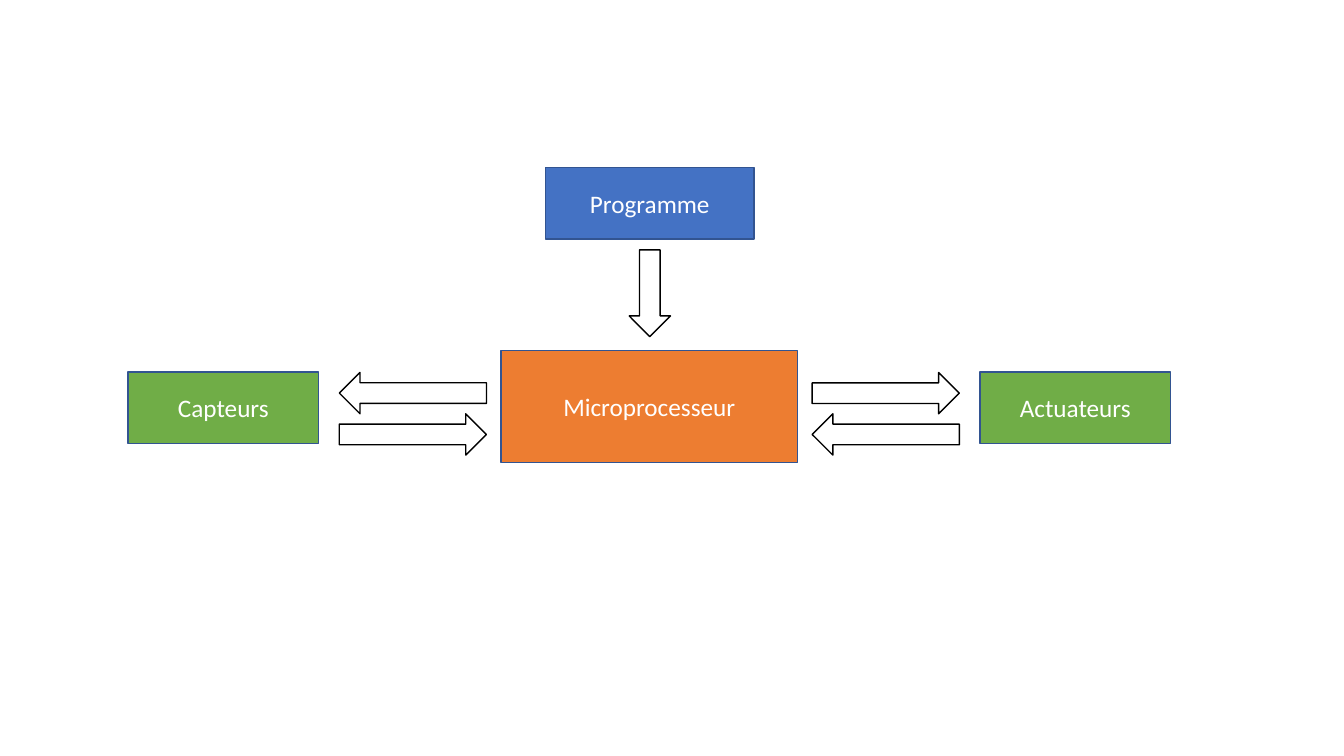
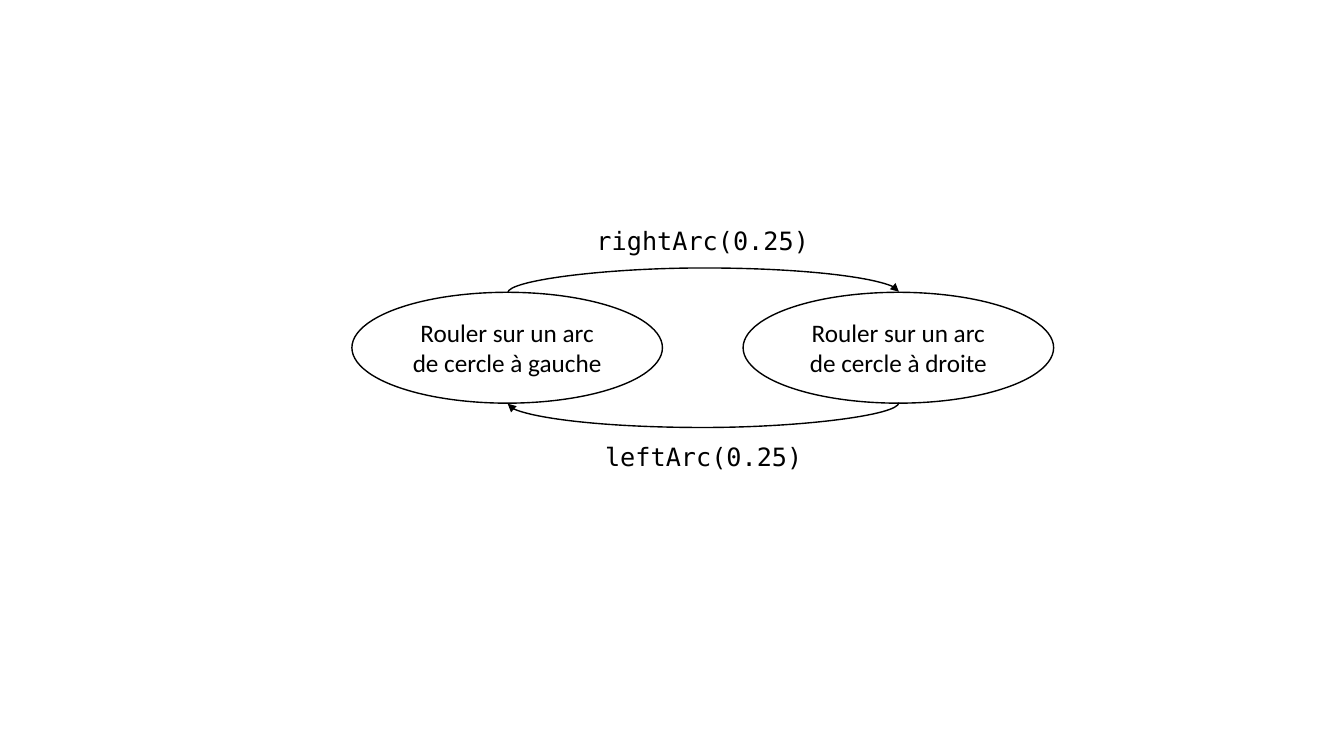
from lxml import etree
from pptx import Presentation
from pptx import util as u
from pptx.dml.color import RGBColor
from pptx.enum import shapes, text
from pptx.oxml import ns

Kind = shapes.MSO_SHAPE


def colour(code):
    return RGBColor.from_string(code)


def px(length):
    return u.Emu(length * 9144)


class Sketch:
    white, black, edge = "FFFFFF", "000000", "325491"
    blue, orange, green = "4472C4", "ED7D31", "70AD47"
    body, code = "Calibri", "DejaVu Sans Mono"
    size, weight = 18, 1

    def __init__(self):
        self.deck = Presentation()
        self.deck.slide_width, self.deck.slide_height = px(1333), px(750)
        self.page = None

    def new_page(self):
        self.page = self.deck.slides.add_slide(self.deck.slide_layouts[6])

    def add_wording(self, box, wording, font, ink):
        box.text_frame.word_wrap = True
        para = box.text_frame.paragraphs[0]
        para.alignment = text.PP_ALIGN.CENTER
        span = para.add_run()
        span.text = wording
        span.font.name = font
        span.font.size = u.Pt(self.size)
        span.font.color.rgb = colour(ink)

    def stroke(self, item, ink):
        item.line.color.rgb = colour(ink)
        item.line.width = u.Pt(self.weight)

    def shape(self, kind, x, y, width, height, fill, line):
        box = self.page.shapes.add_shape(kind, px(x), px(y), px(width), px(height))
        box.shadow.inherit = False
        box.fill.solid()
        box.fill.fore_color.rgb = colour(fill)
        self.stroke(box, line)
        return box

    def block(self, wording, x, y, width, height, fill):
        box = self.shape(Kind.RECTANGLE, x, y, width, height, fill, self.edge)
        box.text_frame.vertical_anchor = text.MSO_ANCHOR.MIDDLE
        self.add_wording(box, wording, self.body, self.white)

    def arrow(self, x, y, length, turn=0):
        box = self.shape(Kind.DOWN_ARROW, x, y, 41, length, self.white, self.black)
        box.rotation = turn

    def state(self, wording, x, y):
        box = self.shape(Kind.OVAL, x, y, 308, 110, self.white, self.black)
        box.text_frame.vertical_anchor = text.MSO_ANCHOR.MIDDLE
        self.add_wording(box, wording, self.body, self.black)
        return box

    def label(self, wording, x, y):
        box = self.page.shapes.add_textbox(px(x), px(y), px(234), px(40))
        self.add_wording(box, wording, self.code, self.black)
        box.text_frame.auto_size = text.MSO_AUTO_SIZE.SHAPE_TO_FIT_TEXT

    def curve(self, source, target, site, bulge=25):
        half = abs(target.left - source.left) // 2
        middle_x = (source.left + target.left + source.width) // 2
        middle_y = source.top + (source.height if site == 4 else 0)
        upper = (middle_x, middle_y - half)
        lower = (middle_x + px(1), middle_y + half)
        ends = upper + lower if site == 4 else lower + upper
        line = self.page.shapes.add_connector(shapes.MSO_CONNECTOR.CURVE, *ends)
        self.stroke(line, self.black)
        element = line.element
        links = element.find(".//" + ns.qn("p:cNvCxnSpPr"))
        for tag, state in (("a:stCxn", source), ("a:endCxn", target)):
            etree.SubElement(links, ns.qn(tag), id=str(state.shape_id), idx=str(site))
        element.find(".//" + ns.qn("a:xfrm")).set("rot", "5400000")
        guides = element.find(".//" + ns.qn("a:avLst"))
        etree.SubElement(guides, ns.qn("a:gd"), name="adj1", fmla=f"val {bulge * 100000}")
        outline = element.find(".//" + ns.qn("a:ln"))
        etree.SubElement(outline, ns.qn("a:tailEnd"), type="triangle")
        etree.SubElement(element.find(ns.qn("p:spPr")), ns.qn("a:effectLst"))

    def processor_page(self):
        self.new_page()
        self.block("Programme", 541, 166, 207, 71, self.blue)
        self.block("Microprocesseur", 497, 348, 294, 111, self.orange)
        for wording, x in (("Capteurs", 127), ("Actuateurs", 972)):
            self.block(wording, x, 369, 189, 71, self.green)
        self.arrow(624, 248, 86)
        for x, turns in ((858, (270, 90)), (389, (90, 270))):
            for row, turn in enumerate(turns):
                self.arrow(x, 317 + row * 41, 146, turn)

    def states_page(self):
        self.new_page()
        left = self.state("Rouler sur un arc de cercle à gauche", 349, 290)
        right = self.state("Rouler sur un arc de cercle à droite", 737, 290)
        self.curve(left, right, site=0)
        self.curve(right, left, site=4)
        self.label("rightArc(0.25)", 580, 219)
        self.label("leftArc(0.25)", 581, 433)


def main():
    sketch = Sketch()
    sketch.processor_page()
    sketch.states_page()
    sketch.deck.save("out.pptx")


if __name__ == "__main__":
    main()
